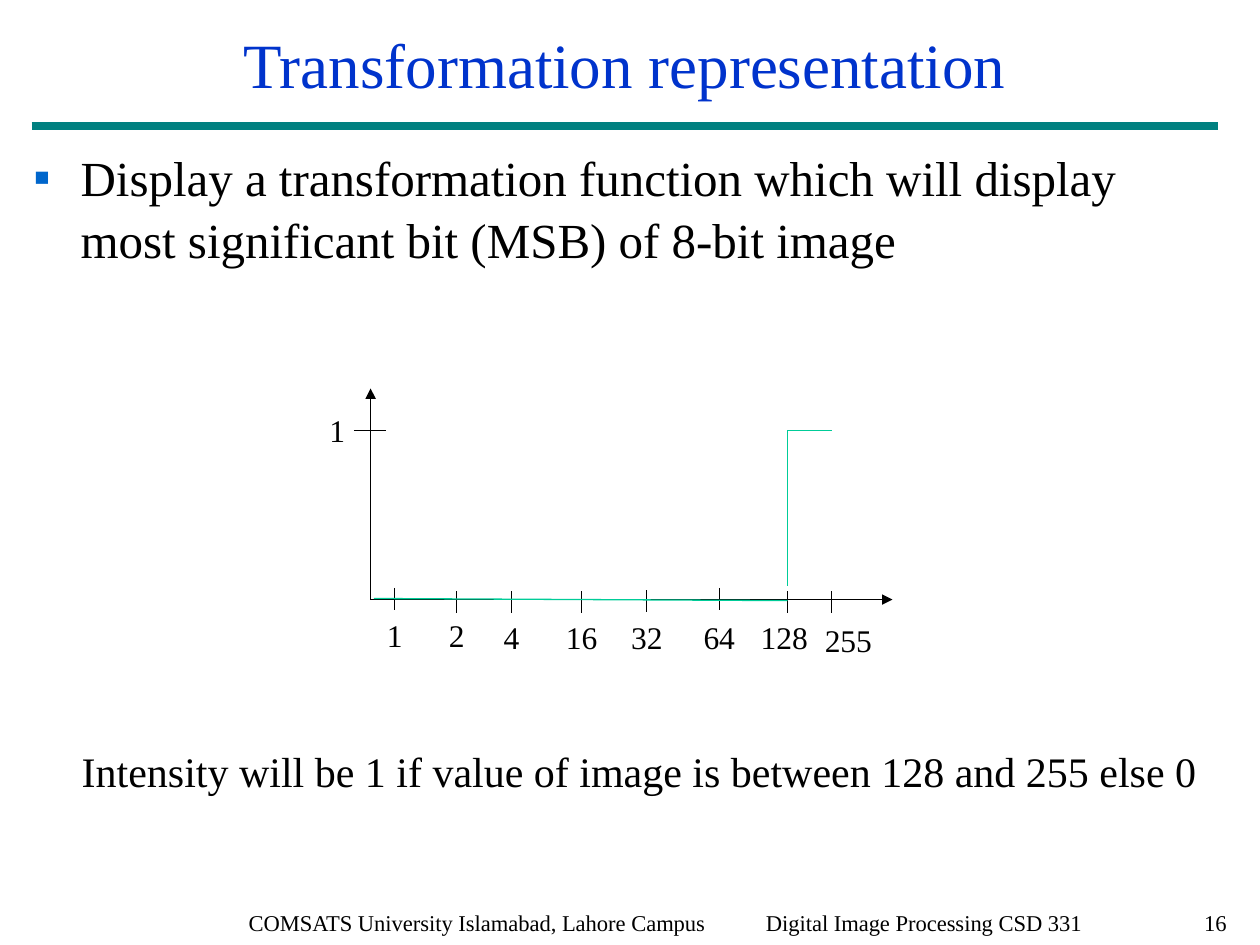
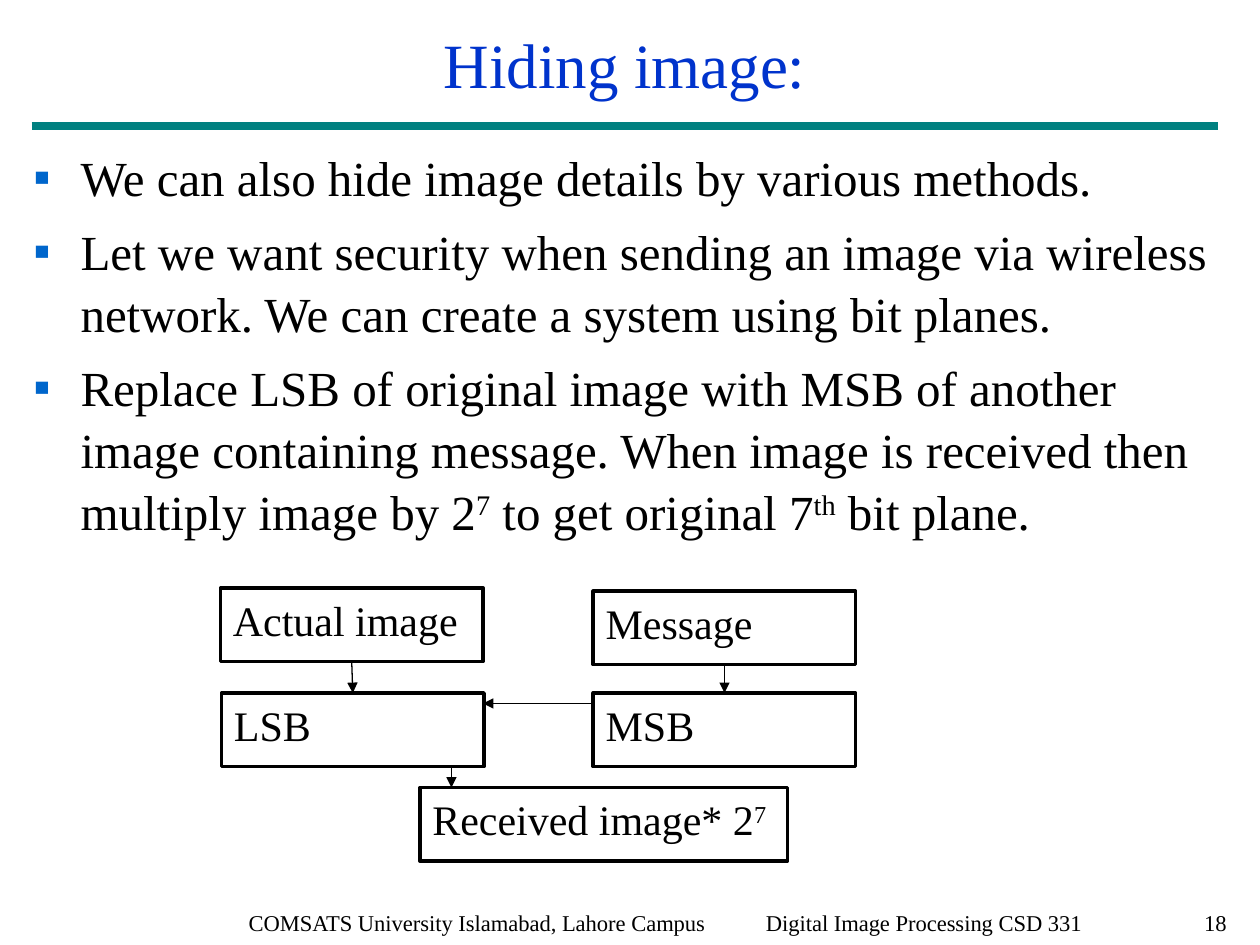
from dataclasses import dataclass
from typing import NamedTuple

from lxml.etree import SubElement
from pptx import Presentation
from pptx.dml.color import RGBColor
from pptx.enum.shapes import MSO_CONNECTOR, MSO_SHAPE
from pptx.enum.text import MSO_ANCHOR, PP_ALIGN
from pptx.oxml.ns import qn
from pptx.util import Emu, Inches, Pt

# Grid: 120 columns by 90 rows, square cells
COLS, ROWS = 120, 90
WIDE, HIGH = Inches(10), Inches(7.5)
CELL = WIDE / COLS
FONT = "Times New Roman"
HUES = {
    "ink": "000000",
    "paper": "FFFFFF",
    "title": "0033CC",
    "rule": "008080",
    "bullet": "0066CC",
    "curve": "00CC98",
}
LEFT, MID, RIGHT = PP_ALIGN.LEFT, PP_ALIGN.CENTER, PP_ALIGN.RIGHT
TOP, BASE = 0, 2  # connection sites


class Area(NamedTuple):
    left: float
    top: float
    wide: float
    high: float


class Tick(NamedTuple):
    label: str
    col: float
    top: float = 56.3
    row: float = 58.3
    shift: float = 0


@dataclass
class Node:
    text: str
    area: Area


def cells(count: float) -> Emu:
    return Emu(round(count * CELL))


def hue(name: str) -> RGBColor:
    return RGBColor.from_string(HUES[name])


def add_mark(para) -> None:
    """Give a paragraph a square bullet with a hanging indent."""
    props = para._p.get_or_add_pPr()
    props.set("marL", str(cells(4.5)))
    props.set("indent", str(-cells(4.5)))
    tint = SubElement(props, qn("a:buClr"))
    SubElement(tint, qn("a:srgbClr"), val=HUES["bullet"])
    SubElement(props, qn("a:buFont"), typeface=FONT)
    SubElement(props, qn("a:buChar"), char="▪")


def add_tab(para, col: float) -> None:
    stops = SubElement(para._p.get_or_add_pPr(), qn("a:tabLst"))
    SubElement(stops, qn("a:tab"), pos=str(cells(col)), algn="l")


def write(frame, text: str, *, size: float = 24, color: str = "ink",
          align=LEFT, anchor=MSO_ANCHOR.TOP, wrap: bool = True,
          bullet: bool = False, tab: float = 0, gap: float = 0,
          pitch: float = 1) -> None:
    """Fill a frame; lines are paragraphs, ^marks^ enclose superscripts."""
    frame.word_wrap = wrap
    frame.vertical_anchor = anchor
    for row, line in enumerate(text.split("\n")):
        para = frame.add_paragraph() if row else frame.paragraphs[0]
        if bullet:
            add_mark(para)
        if tab:
            add_tab(para, tab)
        para.alignment = align
        para.line_spacing = pitch
        if row:
            para.space_before = Pt(gap)
        for part, words in enumerate(line.split("^")):
            if not words:
                continue
            run = para.add_run()
            run.text = words
            run.font.size = Pt(size)
            run.font.name = FONT
            run.font.color.rgb = hue(color)
            if part % 2:
                run._r.get_or_add_rPr().set("baseline", "30000")


def add_text(slide, area: Area, text: str, **form) -> None:
    box = slide.shapes.add_textbox(*map(cells, area))
    write(box.text_frame, text, **form)


def add_line(slide, start: tuple, end: tuple, color: str = "ink",
             width: float = 0.75, arrow: bool = False):
    line = slide.shapes.add_connector(
        MSO_CONNECTOR.STRAIGHT, *map(cells, (*start, *end)))
    line.line.color.rgb = hue(color)
    line.line.width = Pt(width)
    if arrow:
        SubElement(line.line._get_or_add_ln(), qn("a:tailEnd"),
                   type="triangle")
    SubElement(line._element.spPr, qn("a:effectLst"))
    return line


def add_node(slide, node: Node):
    box = slide.shapes.add_shape(
        MSO_SHAPE.RECTANGLE, *map(cells, node.area))
    box.shadow.inherit = False
    box.fill.solid()
    box.fill.fore_color.rgb = hue("paper")
    box.line.color.rgb = hue("ink")
    box.line.width = Pt(2)
    write(box.text_frame, node.text)
    return box


def add_page(deck, title: str, body: str, number: int):
    """Start a slide with its title, rule, bullets and footer."""
    slide = deck.slides.add_slide(deck.slide_layouts[6])
    add_line(slide, (3, 12), (116, 12), "rule", 5)
    add_text(slide, Area(3, 0, 113, 12), title, size=36, color="title",
             align=MID, anchor=MSO_ANCHOR.MIDDLE)
    add_text(slide, Area(2, 13.2, 115, 72.8), body, size=28,
             bullet=True, gap=7, pitch=1.05)
    add_text(slide, Area(22.5, 86, 87.5, 4),
             "COMSATS University Islamabad, Lahore Campus\t"
             "Digital Image Processing CSD 331", size=12.9, tab=49.25)
    add_text(slide, Area(110, 86, 8, 4), str(number), size=12.9,
             align=RIGHT)
    return slide


# Step function plot
TICKS = [
    Tick("1", 37.6, 56, 58.1),
    Tick("2", 43.5, row=58.1),
    Tick("4", 48.7),
    Tick("16", 55.4),
    Tick("32", 61.6, 56.2),
    Tick("64", 68.5, 56),
    Tick("128", 75, shift=-0.3),
    Tick("255", 79.2, row=58.6, shift=1.6),
]


def draw_plot(slide) -> None:
    left, floor, level = 35.3, 57.1, 41
    # Axes
    for end in ((left, 37), (85, floor)):
        add_line(slide, (left, floor), end, arrow=True)
    # Ticks and labels
    for tick in TICKS:
        add_line(slide, (tick.col, tick.top), (tick.col, tick.top + 2.1))
        add_text(slide, Area(tick.col + tick.shift - 4, tick.row, 8, 4.8),
                 tick.label, size=18, align=MID)
    add_line(slide, (left - 1.6, level), (left + 1.5, level))
    add_text(slide, Area(30.2, 38.6, 3.8, 4.8), "1", size=18, wrap=False)
    # Curve
    step, last = TICKS[-2].col, TICKS[-1].col
    for start, end in (
        ((step, 55.8), (step, level)),
        ((step, level), (last, level)),
        ((35.6, 57), (step, 57.2)),
    ):
        add_line(slide, start, end, "curve")


# Bit plane flow
NODES = {
    "actual": Node("Actual image", Area(21, 56, 25, 7)),
    "message": Node("Message", Area(56.5, 56.3, 25, 7)),
    "msb": Node("MSB", Area(56.5, 66, 25, 7)),
    "lsb": Node("LSB", Area(21.1, 66, 25, 7)),
    "result": Node("Received image* 2^7^", Area(40, 75, 35, 7)),
}


def draw_flow(slide) -> None:
    boxes = {key: add_node(slide, node) for key, node in NODES.items()}
    for upper, lower in (("actual", "lsb"), ("message", "msb")):
        line = add_line(slide, (0, 0), (1, 1), arrow=True)
        line.begin_connect(boxes[upper], BASE)
        line.end_connect(boxes[lower], TOP)
    for start, end in (((56.5, 67), (46, 67)), ((43, 73), (43, 75))):
        add_line(slide, start, end, arrow=True)


def main() -> None:
    deck = Presentation()
    deck.slide_width, deck.slide_height = WIDE, HIGH

    # Transformation
    slide = add_page(
        deck, "Transformation representation",
        "Display a transformation function which will display most "
        "significant bit (MSB) of 8-bit image", 16)
    draw_plot(slide)
    add_text(slide, Area(6.6, 70.4, 108.6, 6),
             "Intensity will be 1 if value of image is between 128 and "
             "255 else 0", wrap=False)

    # Hiding
    slide = add_page(
        deck, "Hiding image:",
        "We can also hide image details by various methods.\n"
        "Let we want security when sending an image via wireless network. "
        "We can create a system using bit planes.\n"
        "Replace LSB of original image with MSB of another image containing "
        "message. When image is received then multiply image by 2^7^ to get "
        "original 7^th^ bit plane.", 18)
    draw_flow(slide)

    deck.save("out.pptx")


if __name__ == "__main__":
    main()
